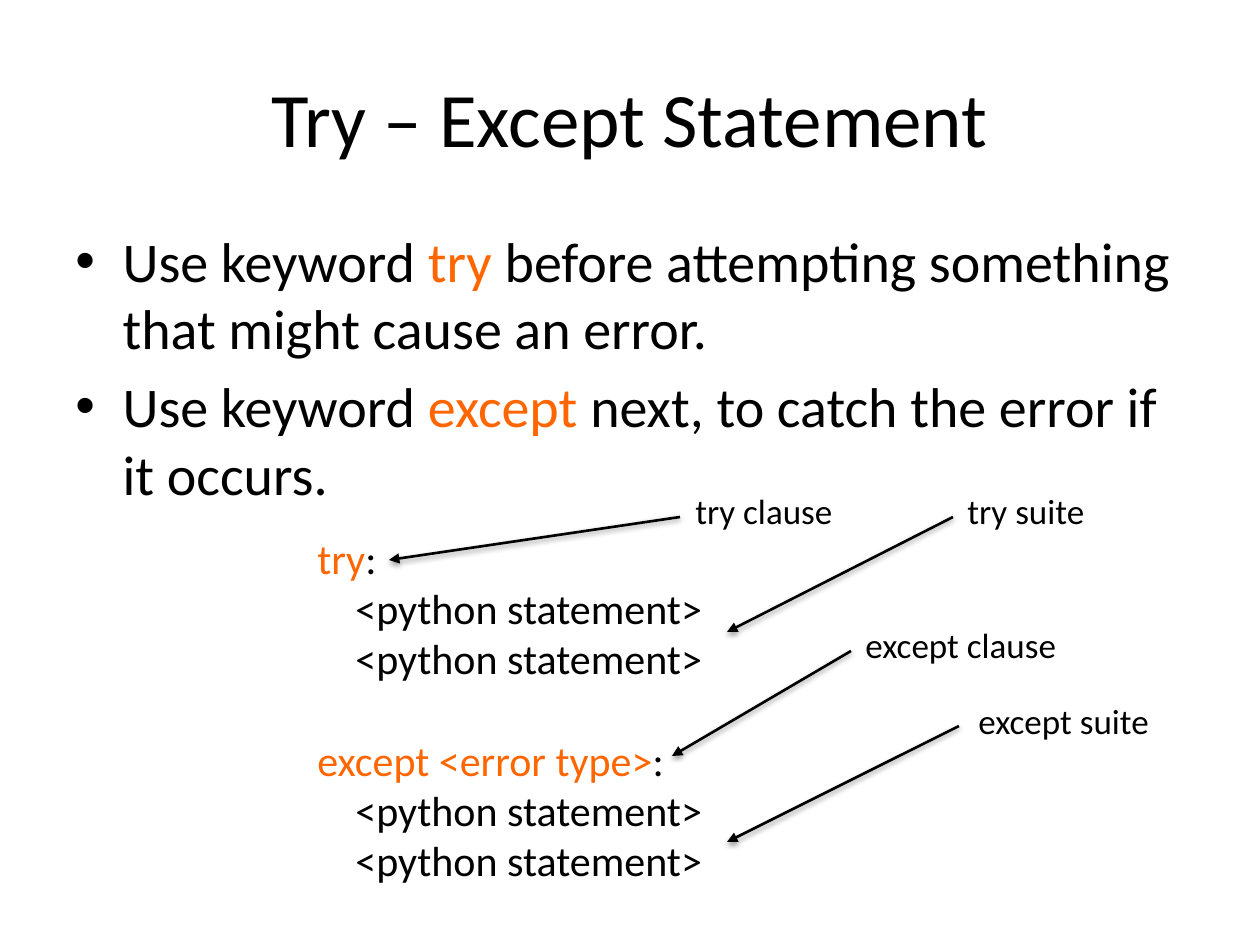
from lxml import etree
from pptx import Presentation
from pptx import util as u
from pptx.dml.color import RGBColor
from pptx.enum import shapes, text
from pptx.oxml import ns

PIXEL = u.Inches(1) / 126
COLORS = {"black": "000000", "orange": "FF6600"}
FONT = "Calibri"


def px(length):
    return u.Emu(round(length * PIXEL))


def color(name):
    return RGBColor.from_string(COLORS[name])


def add_xml(parent, tag, **attributes):
    return etree.SubElement(parent, ns.qn(tag), attributes)


def add_spans(para, parts, size):
    """Fill a paragraph with (wording, colour) parts."""
    for wording, name in parts:
        span = para.add_run()
        span.text = wording
        span.font.name = FONT
        span.font.size = u.Pt(size)
        span.font.color.rgb = color(name)


def add_text(page, place, paras, size, wrap=True):
    """Add a text box and return its paragraphs."""
    box = page.shapes.add_textbox(*map(px, place))
    frame = box.text_frame
    frame.word_wrap = wrap
    frame.text = "\n".join("" for _ in paras)
    for para, parts in zip(frame.paragraphs, paras):
        add_spans(para, parts, size)
    return frame


def add_title(page, wording):
    frame = add_text(page, (63, 38, 1134, 158), [[(wording, "black")]], 44)
    frame.vertical_anchor = text.MSO_ANCHOR.MIDDLE
    frame.paragraphs[0].alignment = text.PP_ALIGN.CENTER


def add_bullets(page, place, paras):
    frame = add_text(page, place, paras, 32)
    for para in frame.paragraphs:
        para.space_before = u.Pt(6.4)
        settings = para._p.get_or_add_pPr()
        settings.set("marL", str(px(47.25)))
        settings.set("indent", str(-px(47.25)))
        add_xml(settings, "a:buFont", typeface="Arial")
        add_xml(settings, "a:buChar", char="•")


def add_code(page, place, keywords):
    """Each keyword line is followed by two indented statements."""
    statement = [("<python statement>", "black")]
    paras = []
    for keyword in keywords:
        paras += [[(keyword, "orange"), (":", "black")], statement, statement]
    frame = add_text(page, place, paras, 24)
    for index, para in enumerate(frame.paragraphs):
        if index % 3:
            para._p.get_or_add_pPr().set("marL", str(px(38)))
        elif index:
            para.space_before = u.Pt(29)


def add_arrow(page, start, end):
    arrow = page.shapes.add_connector(
        shapes.MSO_CONNECTOR.STRAIGHT, *map(px, start + end))
    arrow.line.width = u.Pt(1.5)
    arrow.line.color.rgb = color("black")
    add_xml(arrow.line._get_or_add_ln(), "a:tailEnd", type="triangle")
    # Soft shadow straight below the line
    effects = add_xml(arrow._element.spPr, "a:effectLst")
    shadow = add_xml(effects, "a:outerShdw", blurRad="40000", dist="20000",
                     dir="5400000", rotWithShape="0")
    tint = add_xml(shadow, "a:srgbClr", val=COLORS["black"])
    add_xml(tint, "a:alpha", val="38000")


def main():
    deck = Presentation()
    deck.slide_width, deck.slide_height = px(1260), px(945)
    page = deck.slides.add_slide(deck.slide_layouts[6])

    # Heading and explanation
    add_title(page, "Try – Except Statement")
    add_bullets(page, (63, 220, 1134, 624), [
        [("Use keyword ", "black"), ("try", "orange"),
         (" before attempting something that might cause an error.", "black")],
        [("Use keyword ", "black"), ("except", "orange"),
         (" next, to catch the error if it occurs.", "black")],
    ])

    # Code pattern
    add_code(page, (305, 526, 662, 369), ["try", "except <error type>"])

    # Labels with their arrows
    labels = [
        ("try clause", (683, 483, 164, 55), (680, 517), (389, 560)),
        ("except clause", (853, 617, 219, 55), (851, 651), (672, 756)),
        ("try suite", (955, 483, 144, 55), (953, 517), (727, 632)),
        ("except suite", (966, 693, 199, 55), (959, 726), (727, 842)),
    ]
    for wording, place, start, end in labels:
        add_text(page, place, [[(wording, "black")]], 20, wrap=False)
        add_arrow(page, start, end)

    deck.save("out.pptx")


main()
